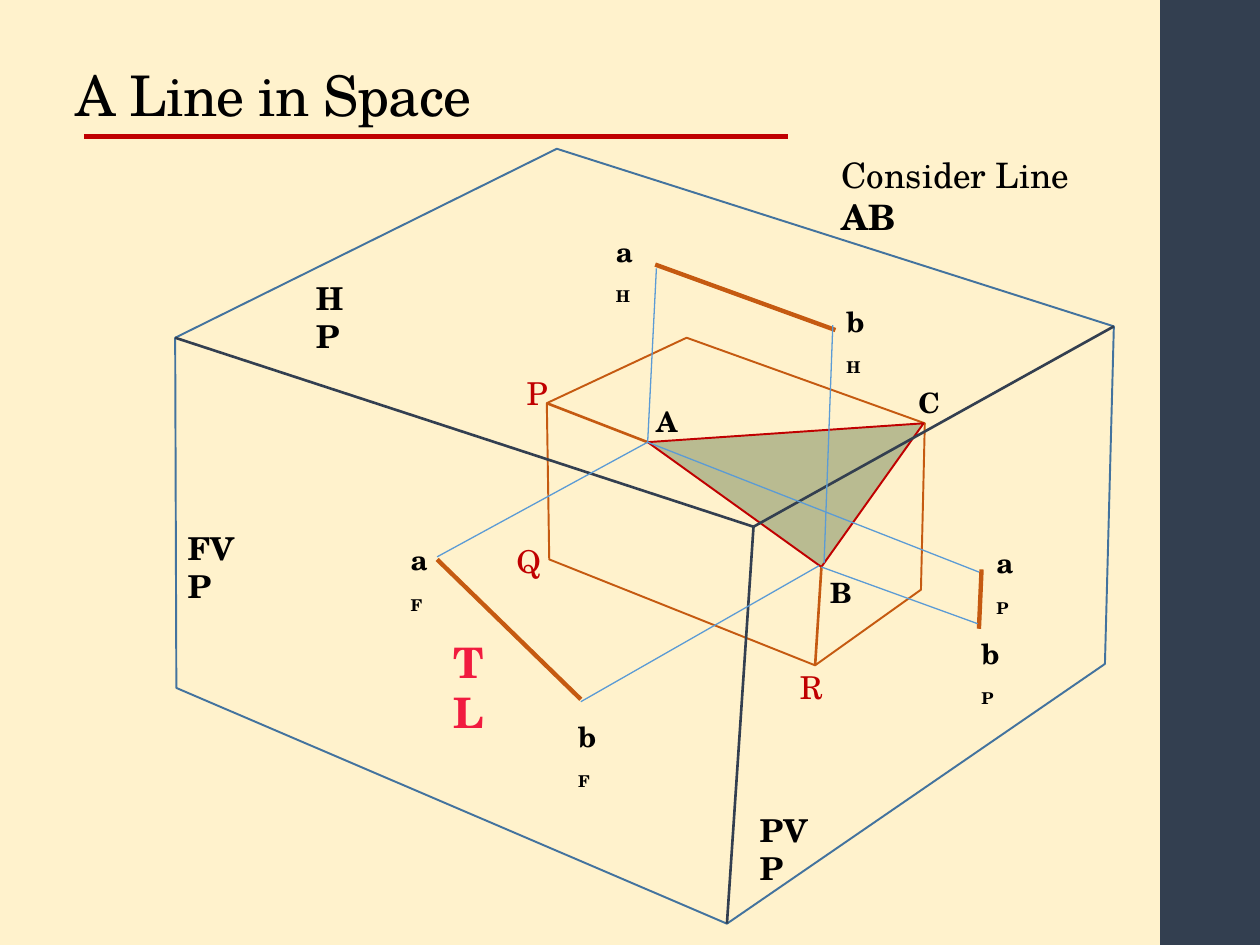
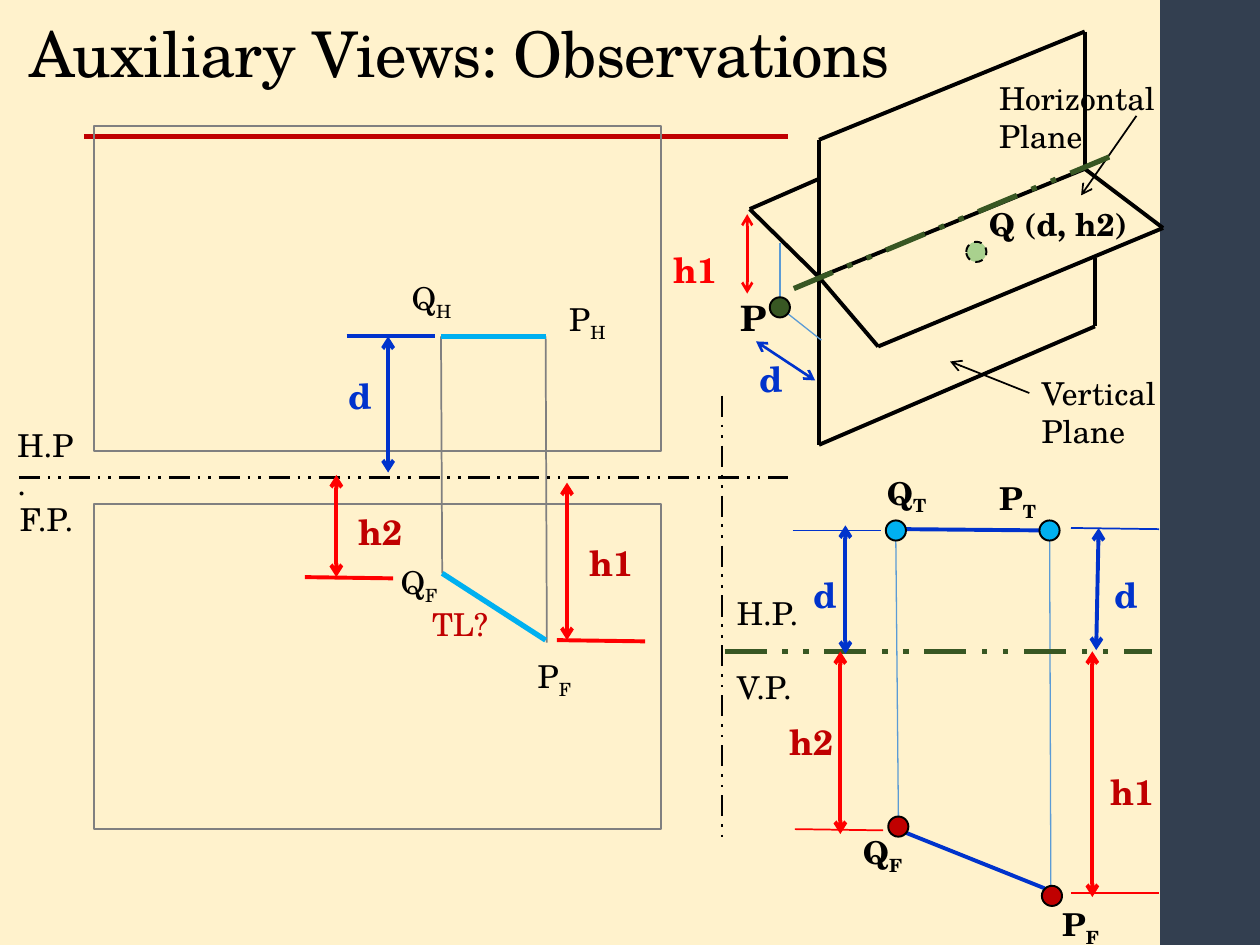
from lxml import etree
from pptx import Presentation
from pptx import util as u
from pptx.dml.color import RGBColor
from pptx.enum import dml, shapes, text
from pptx.oxml import ns

FONT = "TeX Gyre Schola"
COLOURS = {
    "cream": "FFF2CC", "navy": "333F50", "crimson": "C00000", "black": "000000",
    "orange": "C55A11", "steel": "43739E", "sky": "5B9BD5", "green": "385723",
    "pink": "F11B3F", "grey": "808080", "cyan": "00B0F0", "blue": "0033CC",
    "red": "FF0000", "mint": "A9D18E",
}

# Line styles: colour, width, dash, arrow ends (h = start, t = finish)
DASH, DASH_DOTS = dml.MSO_LINE.DASH, dml.MSO_LINE.DASH_DOT_DOT
LINE_STYLES = {
    "rule": ("crimson", 3, None, ""),
    "box": ("orange", 1.1, None, ""),
    "box edge": ("orange", 1.5, None, ""),
    "triangle": ("crimson", 1.1, None, ""),
    "planes": ("steel", 1.1, None, ""),
    "plane fold": ("navy", 1.5, None, ""),
    "view": ("orange", 2.5, None, ""),
    "projector": ("sky", 0.75, None, ""),
    "frame": ("grey", 1.1, None, ""),
    "grey projector": ("grey", 1, None, ""),
    "fold": ("black", 1.5, DASH_DOTS, ""),
    "green fold": ("green", 3, DASH_DOTS, ""),
    "cyan view": ("cyan", 3, None, ""),
    "plane": ("black", 2.25, None, ""),
    "pointer": ("black", 1, None, "t"),
    "depth thin": ("blue", 1.5, None, "ht"),
    "height thin": ("red", 1.5, None, "ht"),
    "depth": ("blue", 2.25, None, "ht"),
    "height": ("red", 2.25, None, "ht"),
    "blue mark": ("blue", 1, None, ""),
    "red mark": ("red", 1, None, ""),
    "blue bar": ("blue", 2.25, None, ""),
    "red bar": ("red", 2.25, None, ""),
    "dot": ("black", 1.1, None, ""),
    "hidden dot": ("black", 1.1, DASH, ""),
}

# Label styles: size, colour, bold
LABEL_STYLES = {
    "point": (16, "black", True),
    "plane": (18, "black", True),
    "true length": (24, "pink", True),
    "remark": (20, "black", False),
    "corner": (18, "crimson", False),
    "plain": (18, "black", False),
    "big": (20, "black", True),
    "depth": (20, "blue", True),
    "height": (20, "crimson", True),
    "height red": (20, "red", True),
}

# Slide 1: corners and points in space
P, Q, R = (312.5, 230.4), (313.9, 319.7), (465.8, 380.2)
A, B, C = (370.1, 252.7), (469.4, 324), (527.8, 241.9)
BOX = [P, Q, R, (526.3, 337), (528.5, 241.9), (392.4, 193)]
LEFT, RIGHT, BOTTOM = (100.1, 193), (636.5, 186.5), (415.4, 527.8)
FRONT = (430.6, 301)
PLANES = [LEFT, (100.8, 393.1), BOTTOM, (631.4, 379.4), RIGHT, (318.2, 85)]

SPACE_LINES = {
    "box edge": [(P, A), (B, R)],
    "plane fold": [(LEFT, FRONT), (RIGHT, FRONT), (FRONT, BOTTOM)],
    "view": [((249.8, 319.7), (331.9, 399.6)), ((374.4, 151.2), (477.4, 188.6)),
             ((559.4, 359.3), (560.9, 325.4))],
    "projector": [(A, (559.4, 326.9)), (B, (558.7, 356.4)), (A, (375.1, 153.4)),
                  ((470.9, 321.8), (475.9, 185.8)), (A, (249.8, 318.2)),
                  ((468, 323.3), (331.9, 401))],
}

# Labels: text (_ starts a subscript, * starts bold), left, top, width
SPACE_LABELS = {
    "point": [("a_F", 227.5, 306.7, 27.4), ("B", 467.3, 325.4, 23.8),
              ("A", 367.9, 227.5, 24.5), ("C", 517.7, 216.7, 23),
              ("a_H", 344.9, 130.3, 29.5), ("b_F", 323.3, 407.5, 28.1),
              ("b_H", 476.6, 170.6, 30.2), ("b_P", 553.7, 360, 28.8),
              ("a_P", 562.3, 308.2, 28.1)],
    "plane": [("FVP", 100.1, 298.8, 43.2), ("HP", 173.5, 156.2, 36),
              ("PVP", 427, 460.1, 44.6)],
    "true length": [("TL", 252, 360, 36.7)],
    "remark": [("Consider Line *AB", 473.8, 84.2, 152.6)],
    "corner": [("P", 293.8, 210.2, 26.6), ("Q", 288, 306, 28.8), ("R", 450, 378, 27.4)],
}

# Slide 2: the two frames, then lines
FRAMES = [(54, 288, 324, 185.8), (54, 72, 324, 185.8)]
HINGE, HINGE_END = (468, 158.4), (619.9, 96.5)
WALL_TOP, WALL_TOP_END = (468, 79.9), (619.9, 18)
WALL_FOOT, WALL_FOOT_END = (468, 254.2), (625.7, 186.5)
FLOOR_NEAR, FLOOR_FAR, FLOOR_BACK = (501.8, 198), (664.6, 130.3), (428.4, 119.5)

VIEW_LINES = {
    "grey projector": [((252, 192.2), (252.7, 327.6)), ((311.8, 192.2), (312.5, 367.2))],
    "fold": [((10.8, 272.9), (450, 272.9)), ((412.6, 226.1), (412.6, 478.1))],
    "cyan view": [((311.8, 365.8), (252.7, 327.6)), ((311.8, 192.2), (252, 192.2))],
    "plane": [(WALL_TOP, WALL_FOOT), (WALL_TOP, WALL_TOP_END), (WALL_TOP_END, HINGE_END),
              (HINGE, HINGE_END), (HINGE, FLOOR_NEAR), (FLOOR_NEAR, FLOOR_FAR),
              (HINGE_END, FLOOR_FAR), (WALL_FOOT, WALL_FOOT_END),
              ((625.7, 147.6), WALL_FOOT_END), (FLOOR_BACK, HINGE),
              (FLOOR_BACK, (468, 102.2))],
    "pointer": [((649.4, 66.2), (617.8, 111.6)), ((588.2, 224.6), (542.9, 206.6))],
    "projector": [((445.7, 139), (445.7, 175)), ((445.7, 175.7), (469.4, 194.4)),
                  ((511.9, 306.7), (513.4, 468)), ((599.8, 306), (600.5, 506.2))],
    "depth thin": [((432, 195.1), (465.8, 217.4))],
    "height thin": [((427, 122.4), (427, 167.8))],
    "green fold": [((453.6, 164.9), (640.1, 87.1)), ((414, 372.2), (658.1, 372.2))],
    "blue mark": [((612, 301.7), (662.4, 302.4)), ((452.9, 303.1), (503.3, 303.1))],
    "red mark": [((612, 510.5), (662.4, 510.5)), ((454.3, 473.8), (504.7, 474.5))],
    "depth": [((627.8, 301.7), (626.4, 371.5)), ((483.1, 300.2), (483.1, 373.7)),
              ((221.8, 192.2), (221.8, 270))],
    "height": [((624.2, 372.2), (624.2, 512.6)), ((480.2, 372.2), (480.2, 476.6)),
               ((324, 275.8), (324, 365.8)), ((192.2, 271.4), (192.2, 329.8))],
    "blue bar": [((198, 192.2), (248.4, 192.2)), ((594, 303.1), (517, 302.4)),
                 ((596.9, 507.6), (517.7, 475.9))],
    "red bar": [((318.2, 365.8), (368.6, 366.5)), ((174.2, 329.8), (224.6, 330.5))],
}

# Dots: left, top, fill, outline style
DOT_SIZE = 11.5
DOTS = [
    (439.9, 169.9, "green", "dot"), (594, 297.4, "cyan", "dot"),
    (595.4, 506.2, "crimson", "dot"), (506.2, 297.4, "cyan", "dot"),
    (507.6, 466.6, "crimson", "dot"), (552.2, 138.2, "mint", "hidden dot"),
]

VIEW_LABELS = {
    "corner": [("TL?", 239.8, 342, 59.8)],
    "plain": [("H.P.", 2.9, 239.8, 48.2), ("F.P.", 4.3, 282.2, 92.2),
              ("Vertical Plane", 588.2, 210.2, 120.2),
              ("Horizontal Plane", 563.8, 41.8, 140.4),
              ("H.P.", 414, 336.2, 62.6), ("V.P.", 414, 378, 92.2),
              ("P_H", 318.2, 167.8, 36.7), ("Q_H", 228.2, 156.2, 38.9),
              ("P_F", 300.2, 372.2, 34.6), ("Q_F", 221.8, 318.2, 36.7)],
    "big": [("P", 416.2, 165.6, 16.6)],
    "plane": [("P_F", 599.8, 513.4, 39.6), ("P_T", 563.8, 270, 39.6),
              ("Q_F", 486, 472.3, 39.6), ("Q_T", 499.7, 267.1, 39.6),
              ("Q (d, h2)", 558, 113.8, 95.8)],
    "depth": [("d", 427, 200.9, 22.3), ("d", 630, 324, 22.3), ("d", 457.9, 324, 36),
              ("d", 192.2, 210.2, 22.3)],
    "height": [("h1", 627.8, 437, 43.2), ("h2", 444.2, 408.2, 41.8),
               ("h1", 329.8, 306, 43.2), ("h2", 198, 288, 41.8)],
    "height red": [("h1", 378, 138.2, 48.2)],
}


def points(*values):
    return [u.Pt(value) for value in values]


def rgb(name):
    return RGBColor.from_string(COLOURS[name])


def style_line(shape, style):
    colour, width, dash, ends = LINE_STYLES[style]
    shape.line.color.rgb = rgb(colour)
    shape.line.width = u.Pt(width)
    if dash:
        shape.line.dash_style = dash
    for letter, tag in (("h", "a:headEnd"), ("t", "a:tailEnd")):
        if letter in ends:
            end = etree.SubElement(shape.line._get_or_add_ln(), ns.qn(tag))
            end.set("type", "arrow")


def add_line(slide, start, finish, style):
    line = slide.shapes.add_connector(
        shapes.MSO_CONNECTOR.STRAIGHT, *points(*start, *finish))
    style_line(line, style)
    etree.SubElement(line._element.spPr, ns.qn("a:effectLst"))
    return line


def finish_shape(shape, fill=None, style=None):
    shape.shadow.inherit = False
    if fill:
        shape.fill.solid()
        shape.fill.fore_color.rgb = rgb(fill)
    else:
        shape.fill.background()
    if style:
        style_line(shape, style)
    else:
        shape.line.fill.background()
    return shape


def add_preset(slide, kind, place, fill=None, style=None):
    return finish_shape(slide.shapes.add_shape(kind, *points(*place)), fill, style)


def add_outline(slide, corners, fill=None, style=None):
    builder = slide.shapes.build_freeform(*points(*corners[0]))
    builder.add_line_segments([points(*corner) for corner in corners[1:]], close=True)
    return finish_shape(builder.convert_to_shape(), fill, style)


def add_run(paragraph, wording, size, colour, bold):
    run = paragraph.add_run()
    run.text = wording
    run.font.name = FONT
    run.font.size = u.Pt(size)
    run.font.bold = bold
    run.font.color.rgb = rgb(colour)
    return run


def add_label(slide, label, style):
    wording, left, top, width = label
    size, colour, bold = LABEL_STYLES[style]
    box = slide.shapes.add_textbox(*points(left, top, width, 1.2 * size + 7.2))
    frame = box.text_frame
    frame.word_wrap = True
    frame.auto_size = text.MSO_AUTO_SIZE.SHAPE_TO_FIT_TEXT
    mark = "*" if "*" in wording else "_"
    main_part, _, rest = wording.partition(mark)
    add_run(frame.paragraphs[0], main_part, size, colour, bold)
    if rest:
        run = add_run(frame.paragraphs[0], rest, size, colour, bold or mark == "*")
        if mark == "_":
            run._r.get_or_add_rPr().set("baseline", "-25000")


def add_slide(presentation, title, place, size):
    slide = presentation.slides.add_slide(presentation.slide_layouts[5])
    shape = slide.shapes.title
    shape.left, shape.top, shape.width, shape.height = points(*place)
    frame = shape.text_frame
    frame.word_wrap = True
    frame.auto_size = text.MSO_AUTO_SIZE.NONE
    frame.vertical_anchor = text.MSO_ANCHOR.BOTTOM
    paragraph = frame.paragraphs[0]
    paragraph.alignment = text.PP_ALIGN.LEFT
    paragraph.line_spacing = 0.9
    run = add_run(paragraph, title, size, "black", False)
    run._r.get_or_add_rPr().set("spc", "-50")
    return slide


def decorate_master(presentation, slide):
    """Set the shared background, side band and title rule on the master."""
    master = presentation.slide_master
    master.background.fill.solid()
    master.background.fill.fore_color.rgb = rgb("cream")
    band = add_preset(slide, shapes.MSO_SHAPE.RECTANGLE, (663, 0, 57, 540), "navy")
    rule = add_line(slide, (48, 78), (450, 78), "rule")
    for shape in (band, rule):
        master.shapes._spTree.append(shape._element)


def add_drawing(slide, lines, labels, dots=()):
    for style, pairs in lines.items():
        for start, finish in pairs:
            add_line(slide, start, finish, style)
    for left, top, fill, style in dots:
        add_preset(slide, shapes.MSO_SHAPE.FLOWCHART_CONNECTOR,
                   (left, top, DOT_SIZE, DOT_SIZE), fill, style)
    for style, group in labels.items():
        for label in group:
            add_label(slide, label, style)


def main():
    presentation = Presentation()
    presentation.slide_width, presentation.slide_height = points(720, 540)

    # Slide 1: line in space
    space = add_slide(presentation, "A Line in Space", (36, 12, 648, 65), 32)
    decorate_master(presentation, space)
    add_outline(space, BOX, style="box")
    triangle = add_outline(space, [A, C, B], "green", "triangle")
    colour = triangle._element.spPr.find(ns.qn("a:solidFill"))[0]
    etree.SubElement(colour, ns.qn("a:alpha")).set("val", "35000")
    add_outline(space, PLANES, style="planes")
    add_drawing(space, SPACE_LINES, SPACE_LABELS)

    # Slide 2: auxiliary views
    views = add_slide(presentation, "Auxiliary Views: Observations", (9.4, 8, 702, 48), 36)
    for place in FRAMES:
        add_preset(views, shapes.MSO_SHAPE.RECTANGLE, place, style="frame")
    add_drawing(views, VIEW_LINES, VIEW_LABELS, DOTS)

    presentation.save("out.pptx")


if __name__ == "__main__":
    main()
